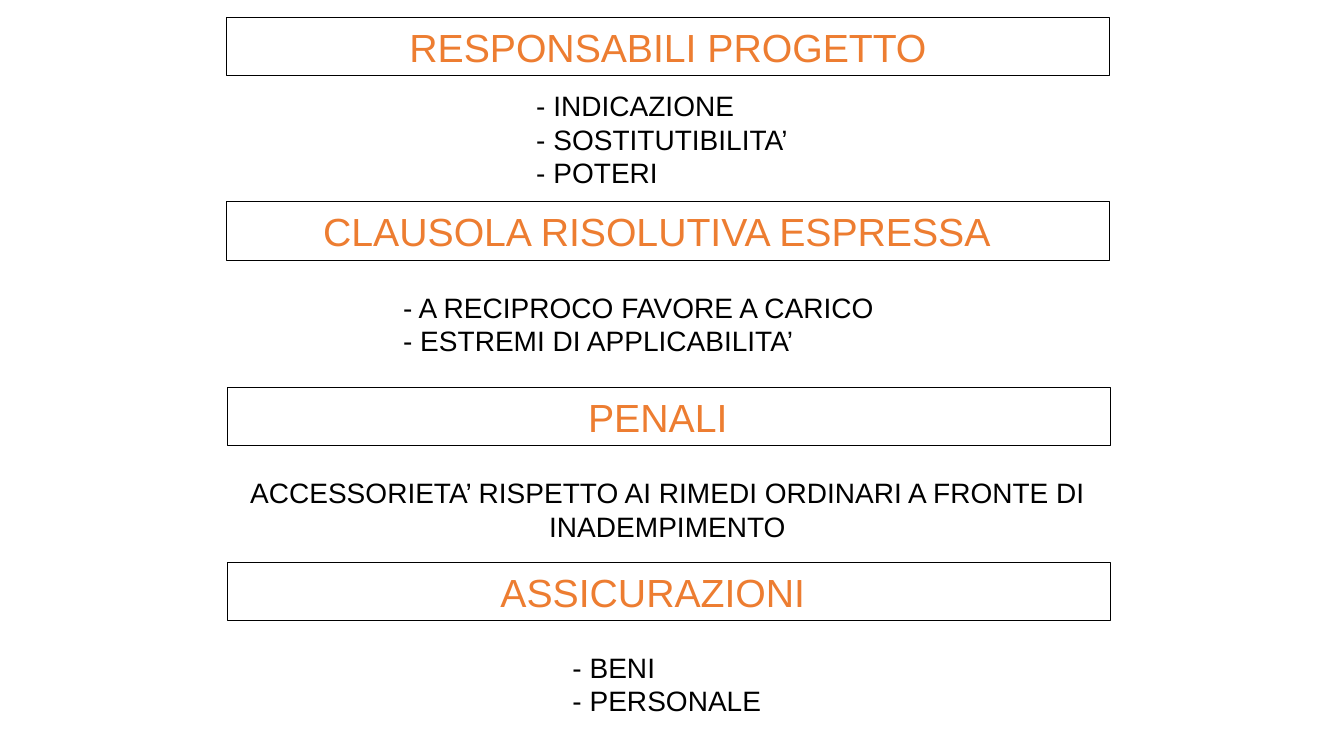
from dataclasses import dataclass

from pptx import Presentation
from pptx.dml.color import RGBColor
from pptx.enum.shapes import MSO_SHAPE
from pptx.enum.text import MSO_ANCHOR, MSO_AUTO_SIZE, PP_ALIGN
from pptx.shapes.autoshape import Shape
from pptx.slide import Slide
from pptx.util import Inches, Pt

BLACK = RGBColor(0x00, 0x00, 0x00)
ORANGE = RGBColor(0xED, 0x7D, 0x31)
FONT_NAME = "Arial"
HEADING_WIDTH, HEADING_HEIGHT = 8.75, 0.58
MARGIN = 0.1


@dataclass(frozen=True)
class Heading:
    text: str
    left: float
    top: float
    shift: float = 0  # distance of the text to the left of the box centre


@dataclass(frozen=True)
class Body:
    lines: tuple[str, ...]
    left: float
    top: float
    width: float
    height: float
    alignment: PP_ALIGN = PP_ALIGN.LEFT


@dataclass(frozen=True)
class Section:
    heading: Heading
    body: Body


SECTIONS = (
    Section(
        Heading("RESPONSABILI PROGETTO", 2.25, 0.17),
        Body(("- INDICAZIONE", "- SOSTITUTIBILITA’", "- POTERI"), 5.22, 0.83, 2.78, 1.1),
    ),
    Section(
        Heading("CLAUSOLA RISOLUTIVA ESPRESSA", 2.25, 2, 0.11),
        Body(
            ("- A RECIPROCO FAVORE A CARICO", "- ESTREMI DI APPLICABILITA’"),
            3.9, 2.83, 5.35, 0.77,
        ),
    ),
    Section(
        Heading("PENALI", 2.26, 3.84, 0.11),
        Body(
            ("ACCESSORIETA’ RISPETTO AI RIMEDI ORDINARI A FRONTE DI INADEMPIMENTO",),
            2.08, 4.67, 9.08, 0.77, PP_ALIGN.CENTER,
        ),
    ),
    Section(
        Heading("ASSICURAZIONI", 2.26, 5.58, 0.16),
        Body(("- BENI", "- PERSONALE"), 5.58, 6.4, 2.17, 0.77),
    ),
)


def write_lines(
    box: Shape, lines: tuple[str, ...], size: int, color: RGBColor, alignment: PP_ALIGN
) -> None:
    frame = box.text_frame
    frame.word_wrap = True
    frame.auto_size = MSO_AUTO_SIZE.SHAPE_TO_FIT_TEXT
    for index, line in enumerate(lines):
        para = frame.add_paragraph() if index else frame.paragraphs[0]
        para.alignment = alignment
        span = para.add_run()
        span.text = line
        span.font.name = FONT_NAME
        span.font.size = Pt(size)
        span.font.color.rgb = color


def add_heading(page: Slide, heading: Heading) -> None:
    box = page.shapes.add_shape(
        MSO_SHAPE.RECTANGLE,
        Inches(heading.left), Inches(heading.top),
        Inches(HEADING_WIDTH), Inches(HEADING_HEIGHT),
    )
    box.shadow.inherit = False
    box.fill.background()
    box.line.color.rgb = BLACK
    box.line.width = Pt(0.75)
    box.text_frame.vertical_anchor = MSO_ANCHOR.MIDDLE
    box.text_frame.margin_right = Inches(MARGIN + 2 * heading.shift)
    write_lines(box, (heading.text,), 28, ORANGE, PP_ALIGN.CENTER)


def add_body(page: Slide, body: Body) -> None:
    box = page.shapes.add_textbox(
        Inches(body.left), Inches(body.top), Inches(body.width), Inches(body.height)
    )
    write_lines(box, body.lines, 20, BLACK, body.alignment)


def main() -> None:
    deck = Presentation()
    deck.slide_width = Inches(13.33)
    deck.slide_height = Inches(7.5)
    page = deck.slides.add_slide(deck.slide_layouts.get_by_name("Blank"))
    for section in SECTIONS:
        add_heading(page, section.heading)
        add_body(page, section.body)
    deck.save("out.pptx")


if __name__ == "__main__":
    main()
